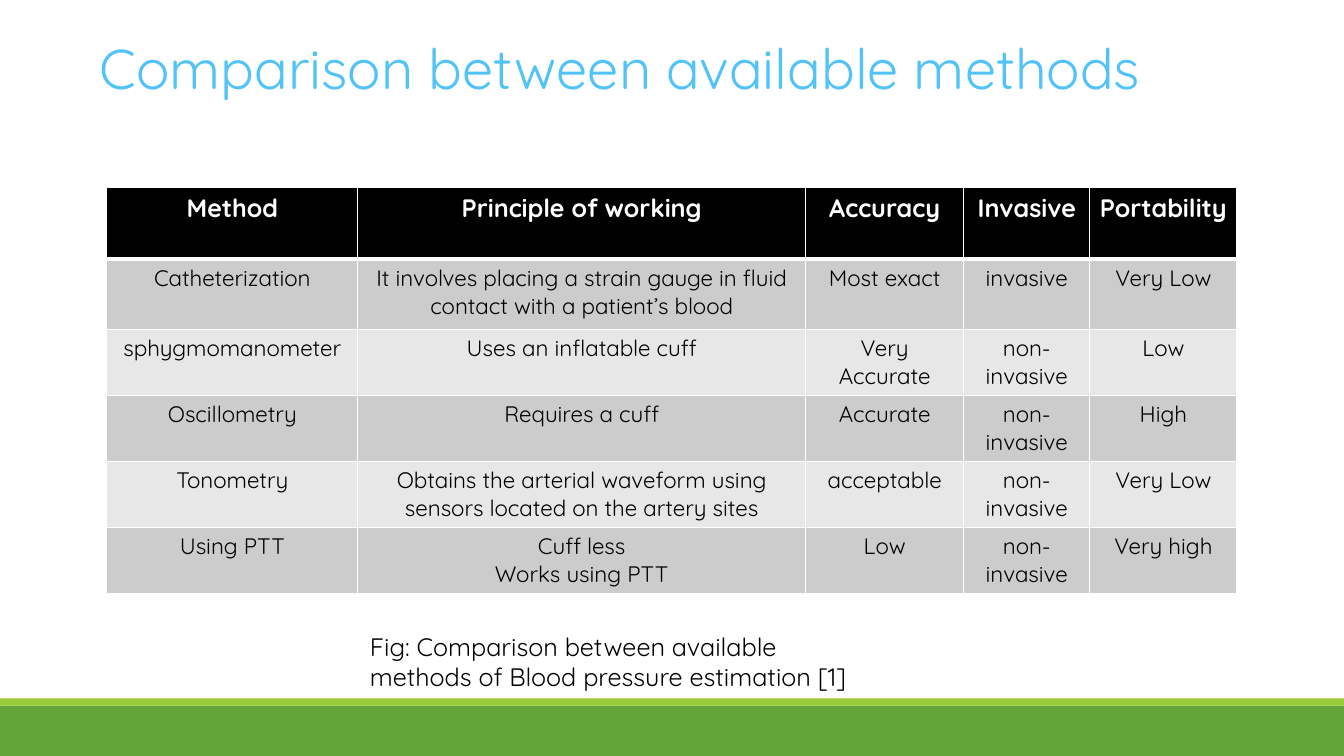
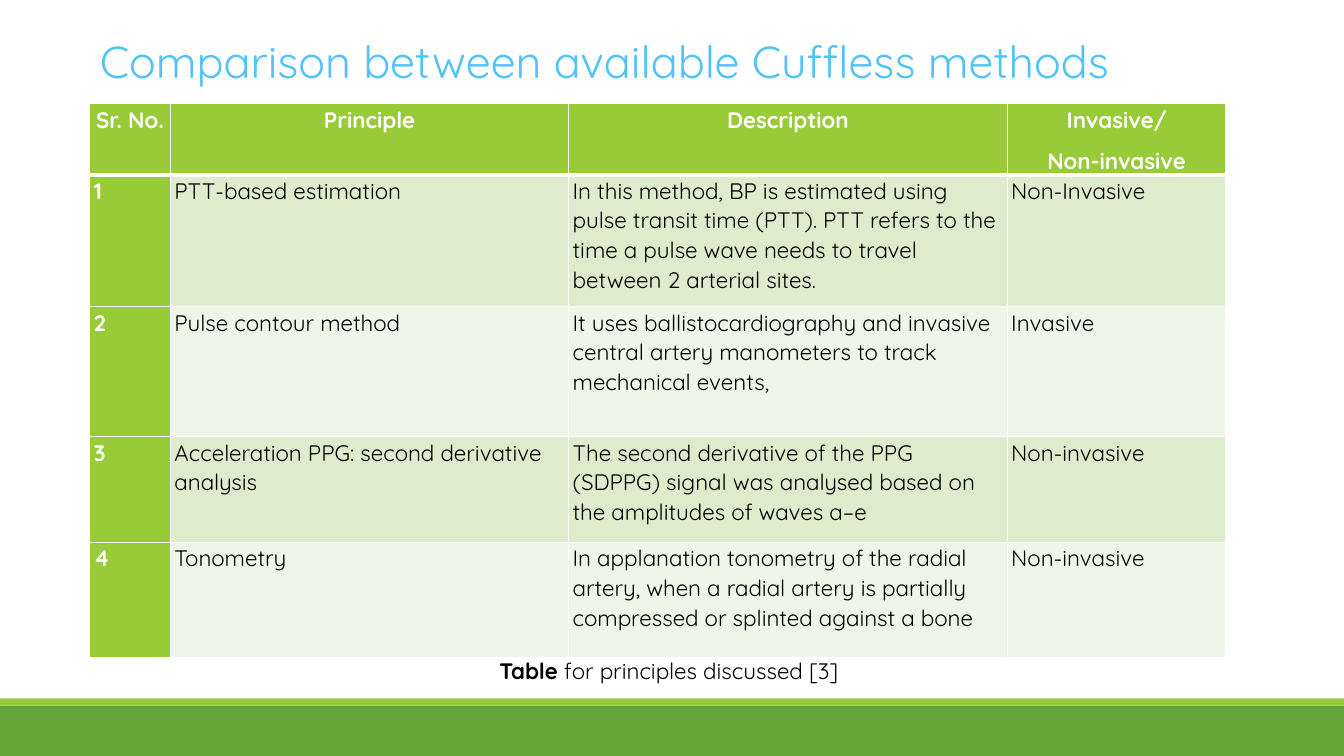
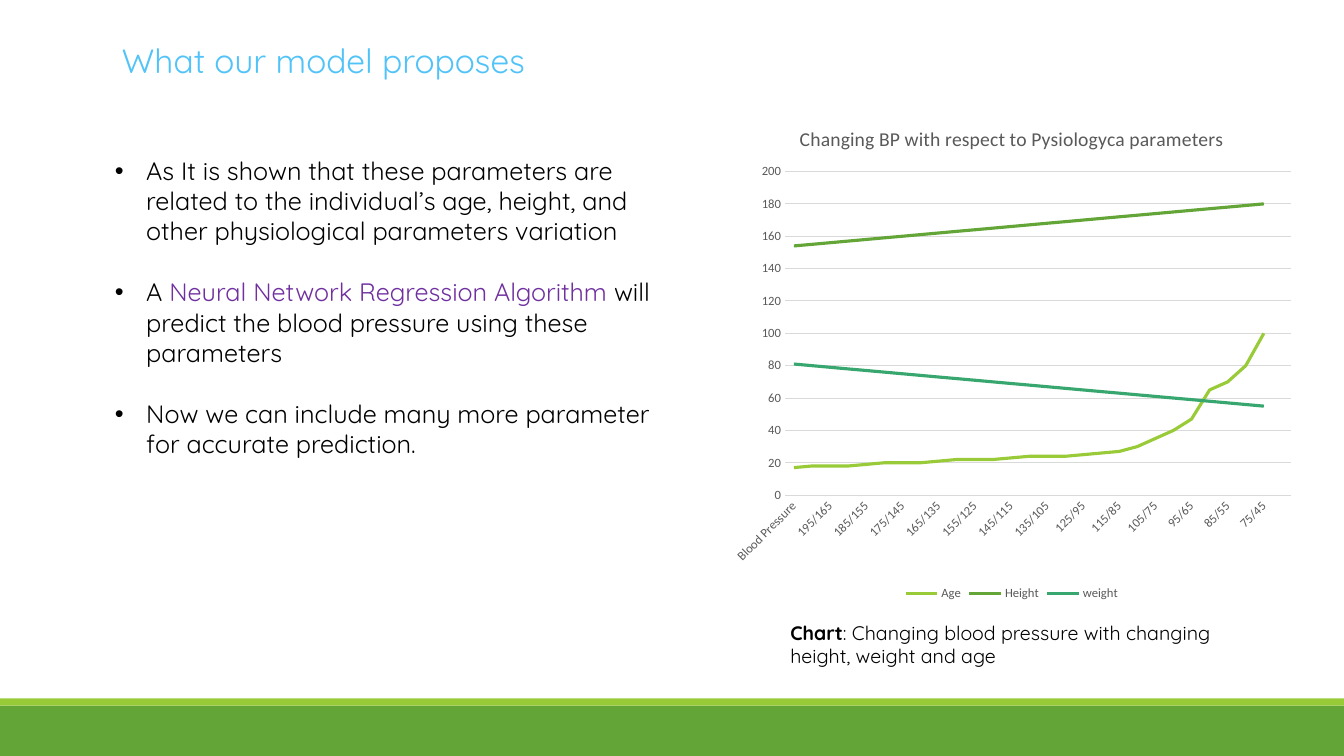
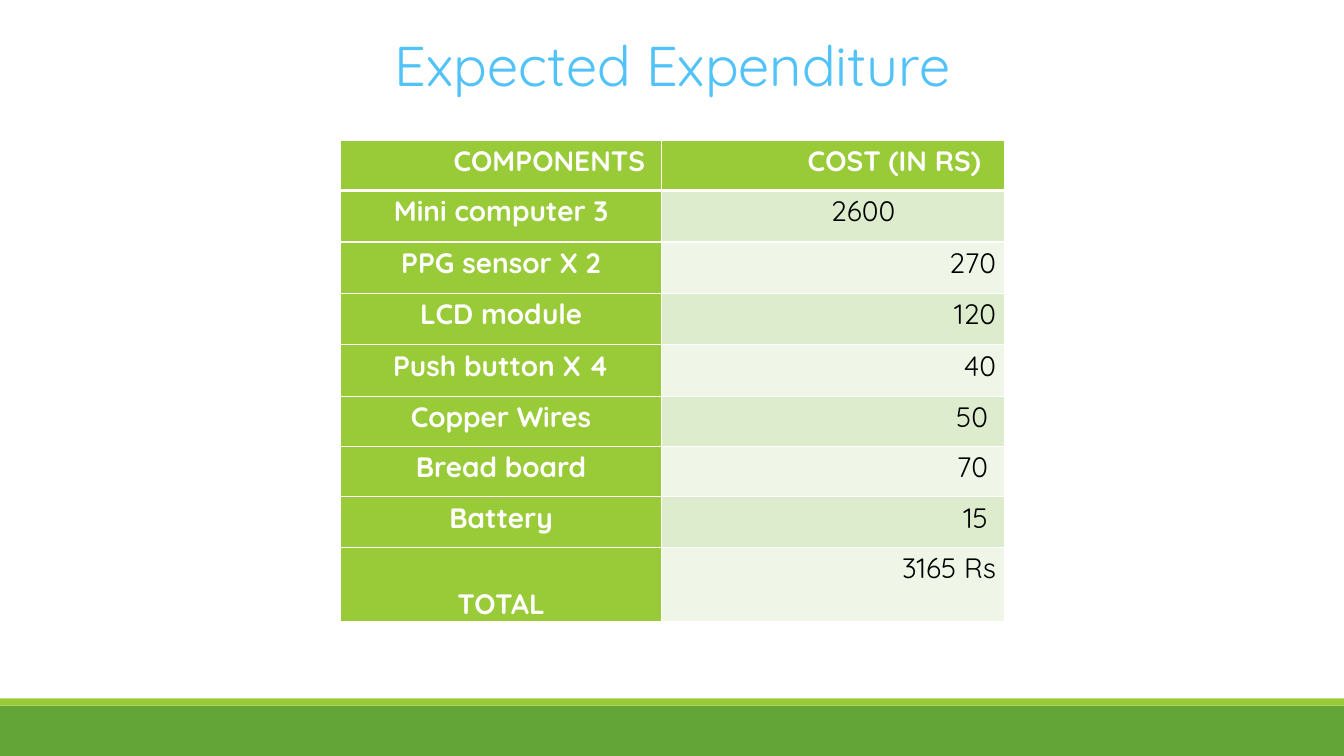
"""Build four slides on blood pressure estimation methods."""
from dataclasses import dataclass

from pptx import Presentation
from pptx import util as u
from pptx.chart import data as chart_data
from pptx.dml.color import RGBColor
from pptx.enum import chart as charts, shapes, text
from pptx.oxml import parse_xml
from pptx.oxml.ns import nsdecls, qn

LEFT, CENTER, RIGHT = text.PP_ALIGN.LEFT, text.PP_ALIGN.CENTER, text.PP_ALIGN.RIGHT


@dataclass(frozen=True)
class Theme:
    """Colours, fonts and type sizes of the presentation."""

    font: str = "Quicksand"
    chart_font: str = "Calibri"
    title: str = "51C3F9"
    ink: str = "000000"
    white: str = "FFFFFF"
    lime: str = "99CB38"
    green: str = "63A537"
    teal: str = "37A76F"
    purple: str = "7030A0"
    chart_ink: str = "595959"
    chart_line: str = "D9D9D9"
    gray_bands: tuple = ("CCCCCC", "E7E7E7")
    lime_bands: tuple = ("DEECCE", "EFF6E8")
    title_large: int = 40
    title_medium: int = 32
    title_small: int = 24
    cost: int = 20
    body: int = 18
    cell: int = 16
    caption: int = 14
    chart_title: int = 14
    chart_label: int = 9


THEME = Theme()


@dataclass(frozen=True)
class TableStyle:
    """Look of one table."""

    header_fill: str
    bands: tuple
    header_size: int
    size: int
    header_align: str
    aligns: tuple
    margins: tuple = (0.1, 0.05, 0.1, 0.05)
    filled_first_column: bool = False
    line_spacing: float = 1.0
    space_after: int = 0


def rgb(value):
    """Turn a hex string into a colour."""
    return RGBColor.from_string(value)


def box(left, top, width, height):
    """Turn four numbers into lengths in inches."""
    return [u.Inches(value) for value in (left, top, width, height)]


def style_font(font, size, color, name=THEME.font, bold=False):
    """Set size, colour, face and weight of a font."""
    font.size, font.name, font.bold = u.Pt(size), name, bold
    font.color.rgb = rgb(color)


def add_run(paragraph, words, size, color=THEME.ink, bold=False):
    """Append one formatted run to a paragraph."""
    run = paragraph.add_run()
    run.text = words
    style_font(run.font, size, color, bold=bold)


def prepare_frame(frame):
    """Let a text frame wrap from its top without shrinking."""
    frame.word_wrap = True
    frame.auto_size = text.MSO_AUTO_SIZE.NONE
    frame.vertical_anchor = text.MSO_ANCHOR.TOP


def place(shape, position):
    """Move and resize a shape."""
    shape.left, shape.top, shape.width, shape.height = box(*position)


def add_slide(presentation, layout, title, position, size, align=LEFT):
    """Add a slide with its title placed and formatted."""
    slide = presentation.slides.add_slide(presentation.slide_layouts[layout])
    shape = slide.shapes.title
    place(shape, position)
    prepare_frame(shape.text_frame)
    paragraph = shape.text_frame.paragraphs[0]
    paragraph.alignment = align
    add_run(paragraph, title, size, THEME.title)
    return slide


def add_bands(presentation, slide):
    """Put the two bottom bands on the slide master."""
    tree = presentation.slide_master.shapes.element
    bands = ((7, 0.5, THEME.green), (6.93, 0.07, THEME.lime))
    for number, (top, height, color) in enumerate(bands):
        band = slide.shapes.add_shape(shapes.MSO_SHAPE.RECTANGLE, *box(0, top, 13.33, height))
        band.shadow.inherit = False
        band.fill.solid()
        band.fill.fore_color.rgb = rgb(color)
        band.line.fill.background()
        band.element.nvSpPr.cNvPr.set("id", str(20 + number))
        tree.insert(2 + number, band.element)


def add_caption(slide, position, runs, size, align=LEFT):
    """Add a caption made of (words, bold) runs."""
    frame = slide.shapes.add_textbox(*box(*position)).text_frame
    prepare_frame(frame)
    paragraph = frame.paragraphs[0]
    paragraph.alignment = align
    for words, bold in runs:
        add_run(paragraph, words, size, bold=bold)


def add_bullets(slide, position, items):
    """Fill the body placeholder with bullets of (words, colour) runs."""
    body = slide.placeholders[1]
    place(body, position)
    frame = body.text_frame
    prepare_frame(frame)
    for number, runs in enumerate(items):
        paragraph = frame.add_paragraph() if number else frame.paragraphs[0]
        paragraph.space_before, paragraph.space_after = u.Pt(0), u.Pt(22)
        properties = paragraph._p.get_or_add_pPr()
        properties.set("marL", str(u.Inches(0.31)))
        properties.set("indent", str(u.Inches(-0.31)))
        for words, color in runs:
            add_run(paragraph, words, THEME.body, color)


def set_borders(cell, row):
    """Draw white cell borders, thicker under the header row."""
    widths = {"lnL": 1, "lnR": 1, "lnT": 3 if row == 1 else 1, "lnB": 1 if row else 3}
    properties = cell._tc.get_or_add_tcPr()
    for number, (side, width) in enumerate(widths.items()):
        properties.insert(number, parse_xml(
            f'<a:{side} {nsdecls("a")} w="{u.Pt(width)}"><a:solidFill>'
            f'<a:srgbClr val="{THEME.white}"/></a:solidFill></a:{side}>'))


def fill_cell(cell, words, row, column, style):
    """Write and format one table cell."""
    strong = row == 0 or (style.filled_first_column and column == 0)
    margins = [u.Inches(value) for value in style.margins]
    cell.margin_left, cell.margin_top, cell.margin_right, cell.margin_bottom = margins
    cell.fill.solid()
    cell.fill.fore_color.rgb = rgb(style.header_fill if strong else style.bands[(row - 1) % 2])
    set_borders(cell, row)
    for number, line in enumerate(words.split("\n")):
        frame = cell.text_frame
        paragraph = frame.add_paragraph() if number else frame.paragraphs[0]
        paragraph.alignment = style.aligns[column] if row else style.header_align
        paragraph.line_spacing = style.line_spacing
        paragraph.space_after = u.Pt(style.space_after)
        add_run(paragraph, line, style.size if row else style.header_size,
                THEME.white if strong else THEME.ink, strong)


def add_table(slide, left, top, widths, heights, rows, style):
    """Add a table whose first row is the header."""
    position = box(left, top, sum(widths), sum(heights))
    table = slide.shapes.add_table(len(rows), len(widths), *position).table
    table.horz_banding = False
    for column, width in zip(table.columns, widths):
        column.width = u.Inches(width)
    for table_row, height in zip(table.rows, heights):
        table_row.height = u.Inches(height)
    for row, entries in enumerate(rows):
        for column, words in enumerate(entries):
            fill_cell(table.cell(row, column), words, row, column, style)
    return table


def style_axis(axis):
    """Give an axis its labels without tick marks."""
    axis.major_tick_mark = axis.minor_tick_mark = charts.XL_TICK_MARK.NONE
    style_font(axis.tick_labels.font, THEME.chart_label, THEME.chart_ink, THEME.chart_font)


def set_plot_area(chart, left, top, width, height):
    """Fix the inner plot area as fractions of the chart."""
    area = chart.element.find(".//" + qn("c:plotArea"))
    for layout in area.findall(qn("c:layout")):
        area.remove(layout)
    sizes = "".join(f'<c:{tag} val="{value}"/>' for tag, value in
                    zip("xywh", (left, top, width, height)))
    area.insert(0, parse_xml(
        f'<c:layout {nsdecls("c")}><c:manualLayout><c:layoutTarget val="inner"/>'
        f'<c:xMode val="edge"/><c:yMode val="edge"/>{sizes}</c:manualLayout></c:layout>'))


def add_line_chart(slide, position, title, categories, series):
    """Add a line chart from (name, values, colour) series."""
    data = chart_data.CategoryChartData()
    data.categories = categories
    for name, values, _ in series:
        data.add_series(name, values)
    chart = slide.shapes.add_chart(charts.XL_CHART_TYPE.LINE, *box(*position), data).chart
    style_font(chart.font, 10, THEME.ink, THEME.chart_font)

    chart.has_title = True
    run = chart.chart_title.text_frame.paragraphs[0].add_run()
    run.text = title
    style_font(run.font, THEME.chart_title, THEME.chart_ink, THEME.chart_font)
    chart.chart_title.include_in_layout = False

    chart.has_legend = True
    chart.legend.position = charts.XL_LEGEND_POSITION.BOTTOM
    chart.legend.include_in_layout = False
    style_font(chart.legend.font, THEME.chart_label, THEME.chart_ink, THEME.chart_font)

    values_axis, category_axis = chart.value_axis, chart.category_axis
    style_axis(values_axis)
    style_axis(category_axis)
    values_axis.minimum_scale, values_axis.maximum_scale = 0, 200
    values_axis.major_unit = 20
    values_axis.format.line.fill.background()
    for line in (values_axis.major_gridlines.format.line, category_axis.format.line):
        line.color.rgb = rgb(THEME.chart_line)
        line.width = u.Pt(0.75)
    labels = chart.element.find(f".//{qn('c:catAx')}/{qn('c:txPr')}/{qn('a:bodyPr')}")
    labels.set("rot", "-2700000")

    chart.plots[0].vary_by_categories = False
    for plotted, (_, _, color) in zip(chart.plots[0].series, series):
        plotted.smooth = False
        plotted.marker.style = charts.XL_MARKER_STYLE.NONE
        plotted.format.line.color.rgb = rgb(color)
        plotted.format.line.width = u.Pt(2.25)
    set_plot_area(chart, 0.11, 0.13, 0.87, 0.65)


def add_methods_slide(presentation):
    """Compare the available methods."""
    slide = add_slide(presentation, 5, "Comparison between available methods",
                      (0.89, 0.28, 11.55, 0.77), THEME.title_large)
    rows = (
        ("Method", "Principle of working", "Accuracy", "Invasive", "Portability"),
        ("Catheterization",
         "It involves placing a strain gauge in fluid contact with a patient’s blood",
         "Most exact", "invasive", "Very Low"),
        ("sphygmomanometer", "Uses an inflatable cuff", "Very Accurate", "non-invasive", "Low"),
        ("Oscillometry", "Requires a cuff", "Accurate", "non-invasive", "High"),
        ("Tonometry", "Obtains the arterial waveform using sensors located on the artery sites",
         "acceptable", "non-invasive", "Very Low"),
        ("Using PTT", "Cuff less\nWorks using PTT", "Low", "non-invasive", "Very high"),
    )
    style = TableStyle(THEME.ink, THEME.gray_bands, THEME.body, THEME.cell, CENTER, (CENTER,) * 5)
    add_table(slide, 1.06, 1.86, (2.49, 4.44, 1.57, 1.25, 1.46),
              (0.71, 0.7, 0.62, 0.62, 0.62, 0.61), rows, style)
    add_caption(slide, (3.57, 6.21, 5.15, 0.71),
                (("Fig: Comparison between available methods of Blood pressure estimation [1]",
                  False),), THEME.body)
    return slide


def add_cuffless_slide(presentation):
    """Compare the cuffless methods."""
    slide = add_slide(presentation, 5, "Comparison between available Cuffless methods",
                      (0.89, 0.28, 11.55, 0.64), THEME.title_medium)
    rows = (
        ("Sr. No.", "Principle", "Description", "Invasive/\nNon-invasive"),
        ("1", "PTT-based estimation",
         "In this method, BP is estimated using pulse transit time (PTT). PTT refers to the "
         "time a pulse wave needs to travel between 2 arterial sites.", "Non-Invasive"),
        ("2", "Pulse contour method",
         "It uses ballistocardiography and invasive central artery manometers to track "
         "mechanical events,", "Invasive"),
        ("3", "Acceleration PPG: second derivative analysis",
         "The second derivative of the PPG (SDPPG) signal was analysed based on the "
         "amplitudes of waves a–e", "Non-invasive"),
        ("4", "Tonometry",
         "In applanation tonometry of the radial artery, when a radial artery is partially "
         "compressed or splinted against a bone", "Non-invasive"),
    )
    style = TableStyle(THEME.lime, THEME.lime_bands, THEME.cell, THEME.cell, CENTER, (LEFT,) * 4,
                       (0.04, 0, 0.04, 0), True, 1.07, 8)
    add_table(slide, 0.89, 1.03, (0.8, 3.95, 4.35, 2.17),
              (0.62, 1.31, 1.29, 1.05, 1.14), rows, style)
    add_caption(slide, (3.97, 6.47, 5.39, 0.37),
                (("Table", True), (" for principles discussed [3] ", False)),
                THEME.cell, CENTER)


def add_model_slide(presentation):
    """Describe the proposed model beside a chart."""
    slide = add_slide(presentation, 1, "What our model proposes",
                      (1.11, 0.35, 7.54, 0.5), THEME.title_small)
    add_bullets(slide, (1.04, 1.49, 5.77, 3.13), (
        (("As It is shown that these parameters are related to the individual’s age, height, "
          "and other physiological parameters variation", THEME.ink),),
        (("A ", THEME.ink), ("Neural Network Regression Algorithm ", THEME.purple),
         ("will predict the blood pressure using these parameters", THEME.ink)),
        (("Now we can include many more parameter for accurate prediction.", THEME.ink),),
    ))
    categories = ["Blood Pressure"] + [f"{high}/{high - 30}" for high in range(200, 65, -5)]
    ages = (17, 18, 18, 18, 19, 20, 20, 20, 21, 22, 22, 22, 23, 24, 24, 24, 25, 26, 27,
            30, 35, 40, 47, 65, 70, 80, 100)
    add_line_chart(slide, (7.15, 1.06, 5.77, 4.94),
                   "Changing BP with respect to Pysiologyca parameters", categories, (
                       ("Age", (*ages, None), THEME.lime),
                       ("Height", (*range(154, 181), None), THEME.green),
                       ("weight", (*range(81, 54, -1), None), THEME.teal),
                   ))
    add_caption(slide, (7.74, 6.11, 4.8, 0.57),
                (("Chart", True),
                 (": Changing blood pressure with changing height, weight and age", False)),
                THEME.caption)


def add_expenditure_slide(presentation):
    """List the expected costs."""
    slide = add_slide(presentation, 5, "Expected Expenditure",
                      (2.9, 0.25, 7.54, 0.77), THEME.title_large, CENTER)
    rows = (
        ("COMPONENTS", "COST (IN RS)"),
        ("Mini computer 3", "2600"),
        ("PPG sensor X 2", "270"),
        ("LCD module", "120"),
        ("Push button X 4", "40"),
        ("Copper Wires", "50"),
        ("Bread board", "70"),
        ("Battery", "15"),
        ("TOTAL", "3165 Rs"),
    )
    style = TableStyle(THEME.lime, THEME.lime_bands, THEME.cost, THEME.cost, RIGHT,
                       (CENTER, RIGHT), (0.08, 0.01, 0.08, 0), True, 1.07, 8)
    heights = (0.5,) + (0.51,) * 4 + (0.5,) * 3 + (0.72,)
    table = add_table(slide, 3.38, 1.39, (3.18, 3.4), heights, rows, style)
    right_margins = {(0, 0): 0.16, (0, 1): 0.23, (1, 1): 1.08,
                     (5, 1): 0.16, (6, 1): 0.16, (7, 1): 0.16}
    for (row, column), margin in right_margins.items():
        table.cell(row, column).margin_right = u.Inches(margin)
    total = table.cell(len(rows) - 1, 0)
    total.margin_top = u.Inches(0.36)
    total.text_frame.paragraphs[0].space_after = u.Pt(0)


def main():
    """Build and save the presentation."""
    presentation = Presentation()
    presentation.slide_width, presentation.slide_height = u.Inches(13.33), u.Inches(7.5)
    first_slide = add_methods_slide(presentation)
    add_bands(presentation, first_slide)
    add_cuffless_slide(presentation)
    add_model_slide(presentation)
    add_expenditure_slide(presentation)
    presentation.save("out.pptx")


if __name__ == "__main__":
    main()
